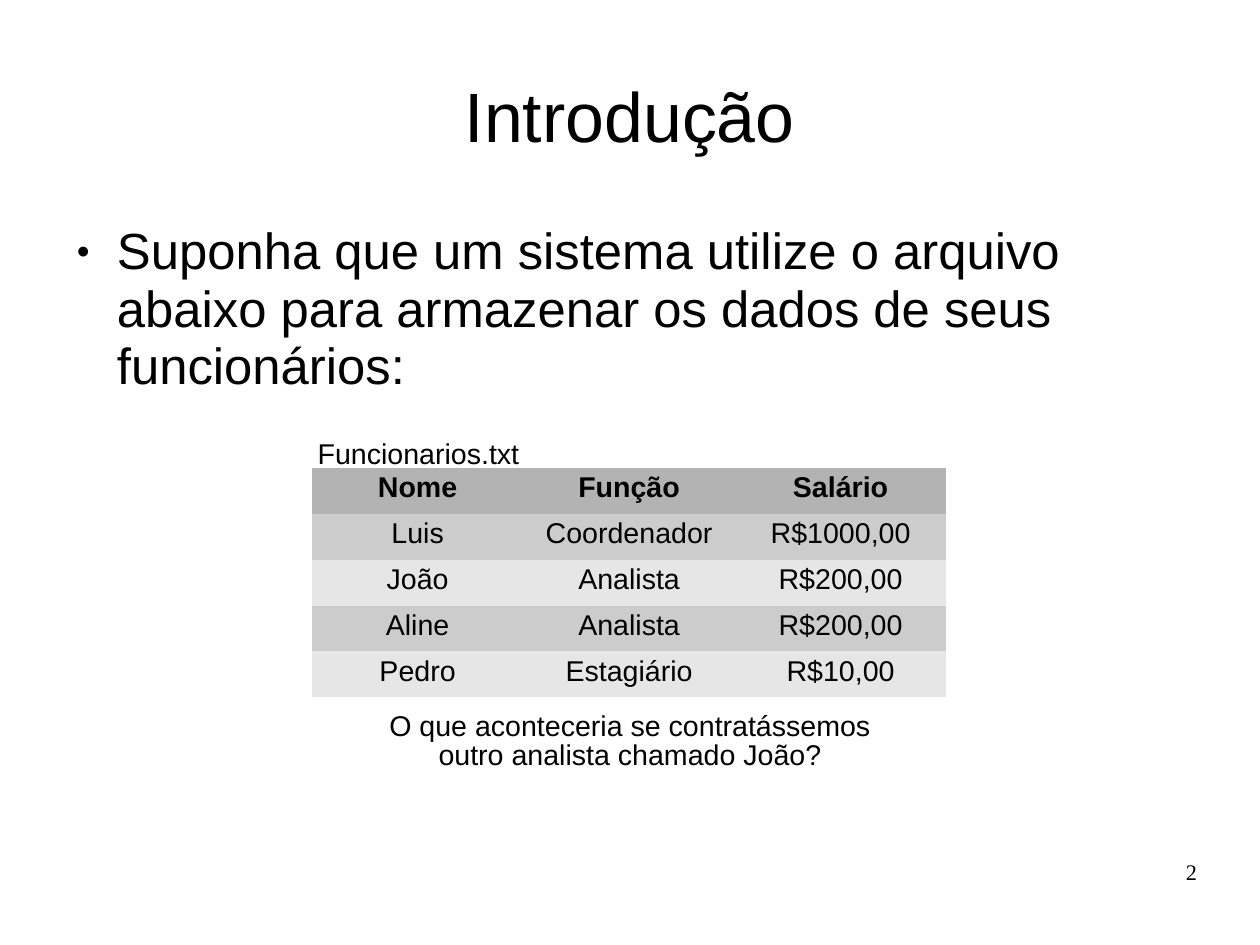
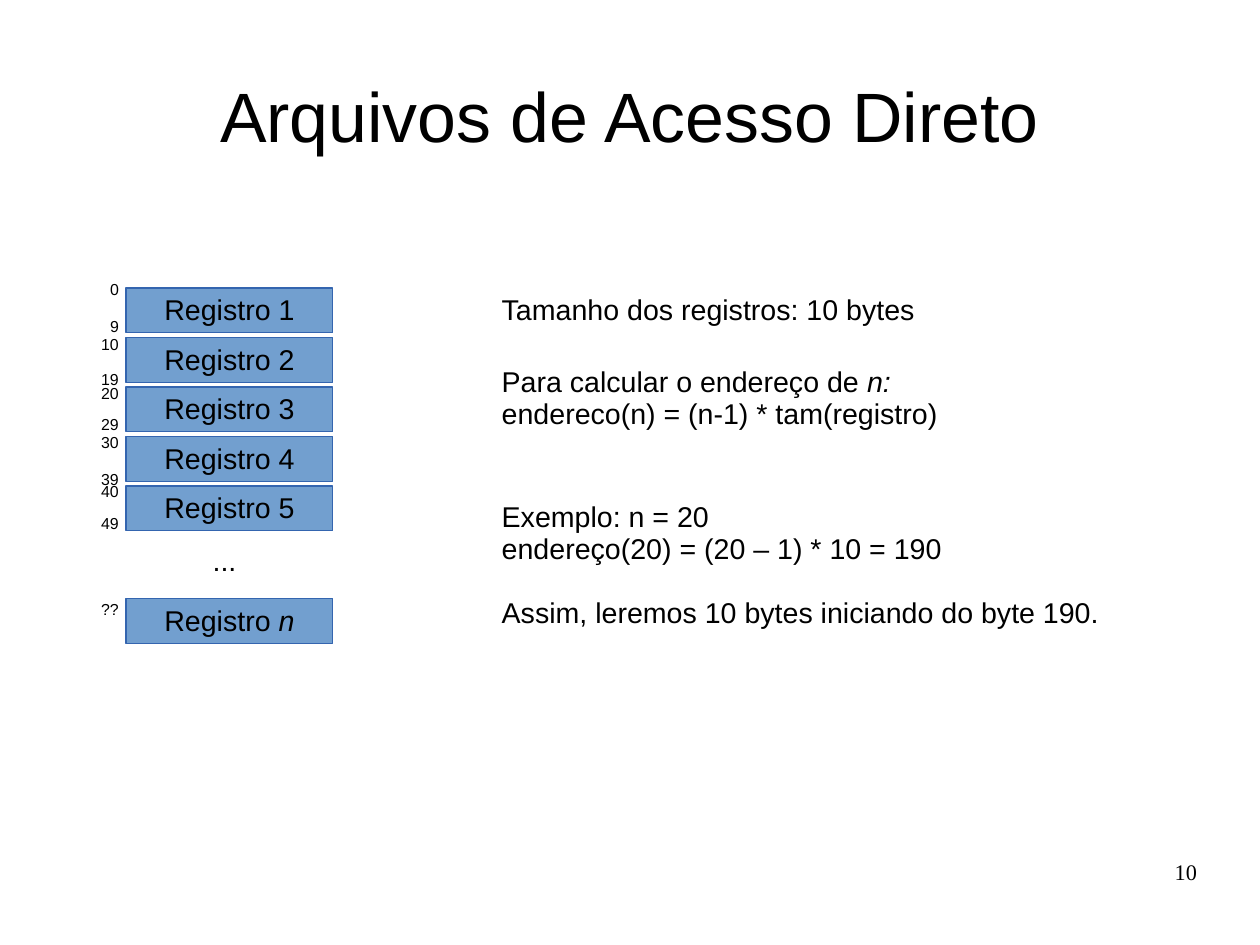
import dataclasses

import pptx
import pptx.dml.color
import pptx.enum.shapes
import pptx.enum.text
import pptx.oxml
import pptx.oxml.ns
import pptx.util

Cm = pptx.util.Cm
Pt = pptx.util.Pt
ALIGN = pptx.enum.text.PP_ALIGN
ANCHOR = pptx.enum.text.MSO_ANCHOR
rgb = pptx.dml.color.RGBColor.from_string


@dataclasses.dataclass(frozen=True)
class Theme:
    font: str = "Arial"
    number_font: str = "Times New Roman"
    title_size: int = 44
    body_size: int = 32
    text_size: int = 18
    number_size: int = 14
    address_size: int = 10
    ink: str = "000000"
    header_fill: str = "B3B3B3"
    row_fills: tuple = ("CCCCCC", "E6E6E6")
    record_fill: str = "729FCF"
    record_line: str = "3465AF"
    line_spacing: float = 0.94
    tight_spacing: float = 0.84


theme = Theme()
NO_INSET = (0, 0, 0, 0)
TEXT_INSET = (0.25, 0.15, 0.25, 0.13)
NO_STYLE_TABLE = "{2D5ABB26-0587-4C30-8999-92F81FD0307C}"


def write(frame, text, *, size=theme.text_size, font=theme.font, bold=False,
          align=ALIGN.LEFT, anchor=ANCHOR.TOP, inset=TEXT_INSET,
          spacing=theme.line_spacing, gaps=(), bullet=False):
    """One paragraph per line; _x_ is italic; gaps are points after each line."""
    frame.word_wrap = True
    frame.vertical_anchor = anchor
    (frame.margin_left, frame.margin_top,
     frame.margin_right, frame.margin_bottom) = map(Cm, inset)
    for index, line in enumerate(text.split("\n")):
        paragraph = frame.add_paragraph() if index else frame.paragraphs[0]
        paragraph.alignment = align
        paragraph.line_spacing = spacing
        if index < len(gaps):
            paragraph.space_after = Pt(gaps[index])
        for part, words in enumerate(line.split("_")):
            if words:
                run = paragraph.add_run()
                run.text = words
                run.font.name = font
                run.font.size = Pt(size)
                run.font.bold = bold
                run.font.italic = part % 2 == 1
                run.font.color.rgb = rgb(theme.ink)
        if bullet:
            properties = paragraph._p.get_or_add_pPr()
            properties.set("marL", str(Cm(1.2)))
            properties.set("indent", str(Cm(-0.9)))
            ns = pptx.oxml.ns.nsdecls("a")
            for mark in (f'<a:buSzPct {ns} val="45000"/>',
                         f'<a:buFont {ns} typeface="{theme.font}"/>',
                         f'<a:buChar {ns} char="●"/>'):
                properties.append(pptx.oxml.parse_xml(mark))


def add_text(slide, text, left, top, width, height, **text_format):
    box = slide.shapes.add_textbox(Cm(left), Cm(top), Cm(width), Cm(height))
    write(box.text_frame, text, **text_format)


deck = pptx.Presentation()
deck.slide_width, deck.slide_height = Cm(28), Cm(21)

slides = []
for title, number in (("Introdução", "2"), ("Arquivos de Acesso Direto", "10")):
    slide = deck.slides.add_slide(deck.slide_layouts[6])
    add_text(slide, number, 20.07, 19.13, 6.53, 1.45, size=theme.number_size,
             font=theme.number_font, align=ALIGN.RIGHT, inset=NO_INSET, spacing=0.93)
    add_text(slide, title, 1.4, 0.85, 25.2, 3.5, size=theme.title_size,
             align=ALIGN.CENTER, anchor=ANCHOR.MIDDLE, inset=(0, 0.1, 0, 0))
    slides.append(slide)
introduction, direct_access = slides

# Introdução
add_text(introduction,
         "Suponha que um sistema utilize o arquivo abaixo para armazenar "
         "os dados de seus funcionários:",
         1.4, 4.9, 25.2, 12.2, size=theme.body_size, inset=(0, 0.08, 0, 0),
         gaps=(14.3,), bullet=True)

employees = (
    ("Nome", "Função", "Salário"),
    ("Luis", "Coordenador", "R$1000,00"),
    ("João", "Analista", "R$200,00"),
    ("Aline", "Analista", "R$200,00"),
    ("Pedro", "Estagiário", "R$10,00"),
)
column_width, row_height = 4.7, 1.02
employee_table = introduction.shapes.add_table(
    len(employees), len(employees[0]), Cm(6.93), Cm(10.4),
    Cm(column_width * len(employees[0])), Cm(row_height * len(employees))).table
table_properties = employee_table._tbl.tblPr
table_properties.find(pptx.oxml.ns.qn("a:tableStyleId")).text = NO_STYLE_TABLE
employee_table.horz_banding = False
for row, values in enumerate(employees):
    fill = theme.row_fills[(row - 1) % 2] if row else theme.header_fill
    for column, value in enumerate(values):
        cell = employee_table.cell(row, column)
        cell.fill.solid()
        cell.fill.fore_color.rgb = rgb(fill)
        write(cell.text_frame, value, bold=row == 0, align=ALIGN.CENTER,
              inset=(0.25, 0.13, 0.25, 0.13))

add_text(introduction, "Funcionarios.txt", 6.81, 9.6, 5.2, 0.97)
add_text(introduction,
         "O que aconteceria se contratássemos outro analista chamado João?",
         8.3, 15.7, 11.4, 1.7, align=ALIGN.CENTER, spacing=theme.tight_spacing)

# Arquivos de Acesso Direto
record_bytes = 10
first_top, record_pitch = 6.4, 1.1
records = [(f"Registro {n + 1}", first_top + n * record_pitch) for n in range(5)]
records.append(("Registro _n_", 13.3))
for label, top in records:
    record = direct_access.shapes.add_shape(
        pptx.enum.shapes.MSO_SHAPE.RECTANGLE, Cm(2.8), Cm(top), Cm(4.6), Cm(1))
    record.shadow.inherit = False
    record.fill.solid()
    record.fill.fore_color.rgb = rgb(theme.record_fill)
    record.line.color.rgb = rgb(theme.record_line)
    record.line.width = Pt(0.75)
    write(record.text_frame, label, align=ALIGN.CENTER, anchor=ANCHOR.MIDDLE)
add_text(direct_access, "...", 4.19, 12.04, 1.6, 0.97, align=ALIGN.CENTER,
         spacing=theme.tight_spacing)

address_tops = ((6.1, 6.91), (7.32, 8.1), (8.41, 9.09), (9.5, 10.31), (10.59, 11.3))
addresses = [("??", 13.2)]
for n, (start_top, end_top) in enumerate(address_tops):
    start = n * record_bytes
    addresses += [(str(start), start_top), (str(start + record_bytes - 1), end_top)]
for address, top in addresses:
    add_text(direct_access, address, 1.49, top, 1.4, 0.66,
             size=theme.address_size, align=ALIGN.RIGHT)

explanations = (
    ("Tamanho dos registros: 10 bytes", 6.4, 0.97, ()),
    ("Para calcular o endereço de _n:_\nendereco(n) = (n-1) * tam(registro)",
     8, 1.68, ()),
    ("Exemplo: n = 20\nendereço(20) = (20 – 1) * 10 = 190\n"
     "Assim, leremos 10 bytes iniciando do byte 190.", 11, 3.1, (0, 20)),
)
for explanation, top, height, gaps in explanations:
    add_text(direct_access, explanation, 10.9, top, 14.2, height, gaps=gaps)

deck.save("out.pptx")
